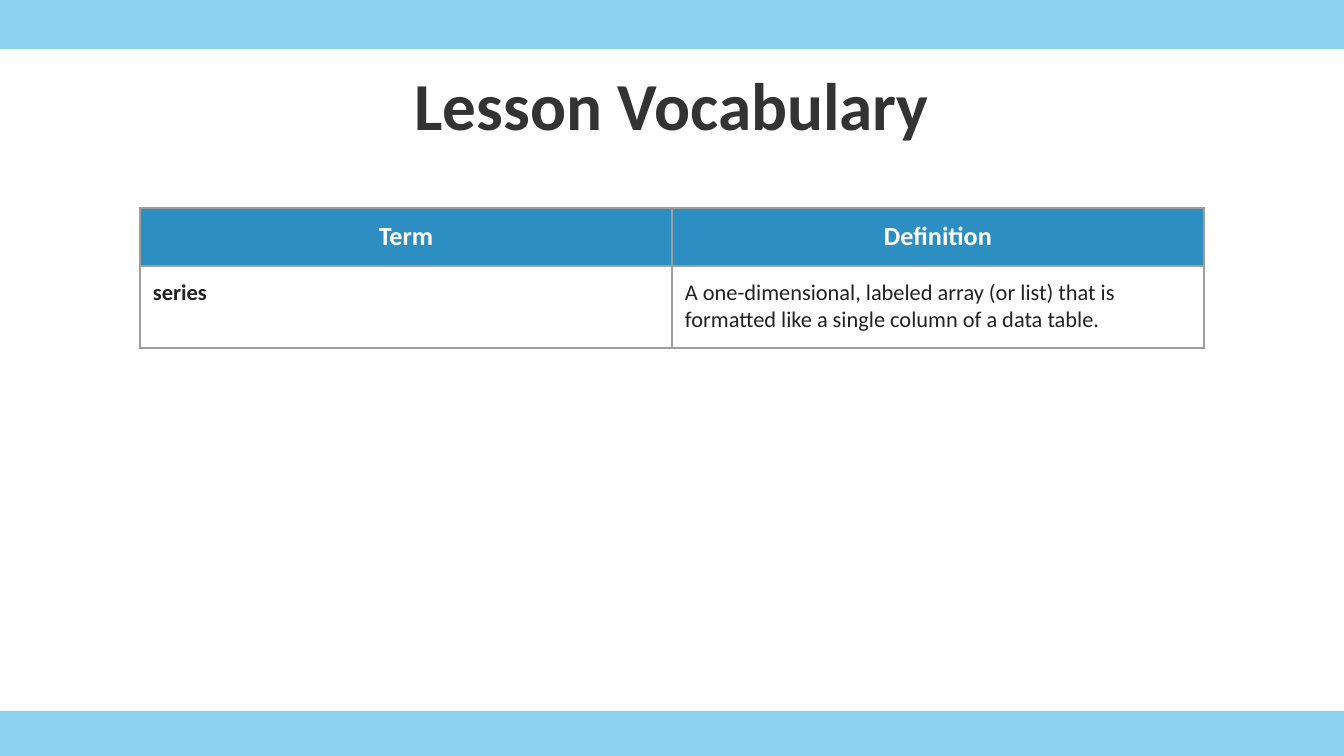
from lxml import etree
from pptx import Presentation
from pptx.dml.color import RGBColor
from pptx.enum.shapes import MSO_SHAPE
from pptx.enum.text import MSO_ANCHOR, MSO_AUTO_SIZE, PP_ALIGN
from pptx.oxml.ns import qn
from pptx.util import Emu, Pt

RECT = MSO_SHAPE.RECTANGLE
TOP, BOTTOM = MSO_ANCHOR.TOP, MSO_ANCHOR.BOTTOM
NO_FIT = MSO_AUTO_SIZE.NONE
LEFT, CENTER = PP_ALIGN.LEFT, PP_ALIGN.CENTER

# Content
TITLE = "Lesson Vocabulary"
ROWS = [
    ("Term", "Definition"),
    ("series", "A one-dimensional, labeled array (or list) that is "
               "formatted like a single column of a data table."),
]

# Style
FONT = "Calibri"
SKY = RGBColor(0x27, 0xA9, 0xE1)
BLUE = RGBColor(0x2D, 0x8E, 0xC2)
WHITE = RGBColor(0xFF, 0xFF, 0xFF)
DARK = RGBColor(0x33, 0x33, 0x33)
INK = RGBColor(0x22, 0x22, 0x22)
GREY = RGBColor(0x9E, 0x9E, 0x9E)

# Layout in pixels
WIDE, HIGH = 1344, 756
BARS = [(0, 49), (711, 45)]
TITLE_BOX = (67, 31, 1210, 126)
TABLE_X, TABLE_Y, COL = 140, 208, 532
HEIGHTS = [58, 82]
PAD = 13


def px(n):
    return Emu(round(n * 914400 / 134.4))


def style(para, size, color, bold, align):
    para.alignment = align
    for run in para.runs:
        font = run.font
        font.name, font.size, font.bold = FONT, Pt(size), bold
        font.color.rgb = color


def pad(box):
    box.margin_left = box.margin_right = px(PAD)
    box.margin_top = box.margin_bottom = px(PAD)


def border(cell):
    props = cell._tc.get_or_add_tcPr()
    for i, side in enumerate(("lnL", "lnR", "lnT", "lnB")):
        line = etree.Element(qn("a:" + side), w=str(Pt(0.75)))
        fill = etree.SubElement(line, qn("a:solidFill"))
        etree.SubElement(fill, qn("a:srgbClr"), val=str(GREY))
        props.insert(i, line)


prs = Presentation()
prs.slide_width, prs.slide_height = px(WIDE), px(HIGH)
slide = prs.slides.add_slide(prs.slide_layouts[5])
shapes = slide.shapes

# Bars
for y, h in BARS:
    bar = shapes.add_shape(RECT, 0, px(y), px(WIDE), px(h))
    bar.shadow.inherit = False
    bar.line.fill.background()
    bar.fill.solid()
    bar.fill.fore_color.rgb = SKY
    tint = bar._element.spPr.find(".//" + qn("a:srgbClr"))
    etree.SubElement(tint, qn("a:alpha"), val="53000")

# Title
title = shapes.title
title.left, title.top, title.width, title.height = map(px, TITLE_BOX)
frame = title.text_frame
frame.text = TITLE
frame.word_wrap = True
frame.auto_size = NO_FIT
frame.vertical_anchor = BOTTOM
pad(frame)
style(frame.paragraphs[0], 36, DARK, True, CENTER)

# Table
count = len(ROWS[0])
table = shapes.add_table(len(ROWS), count, px(TABLE_X), px(TABLE_Y),
                         px(COL * count), px(sum(HEIGHTS))).table
for col in table.columns:
    col.width = px(COL)
for r, words in enumerate(ROWS):
    table.rows[r].height = px(HEIGHTS[r])
    head = r == 0
    for c, word in enumerate(words):
        cell = table.cell(r, c)
        cell.text_frame.text = word
        cell.vertical_anchor = TOP
        pad(cell)
        if head:
            cell.fill.solid()
            cell.fill.fore_color.rgb = BLUE
        else:
            cell.fill.background()
        border(cell)
        style(cell.text_frame.paragraphs[0], 14 if head else 12,
              WHITE if head else INK, head or c == 0,
              CENTER if head else LEFT)

prs.save("out.pptx")
